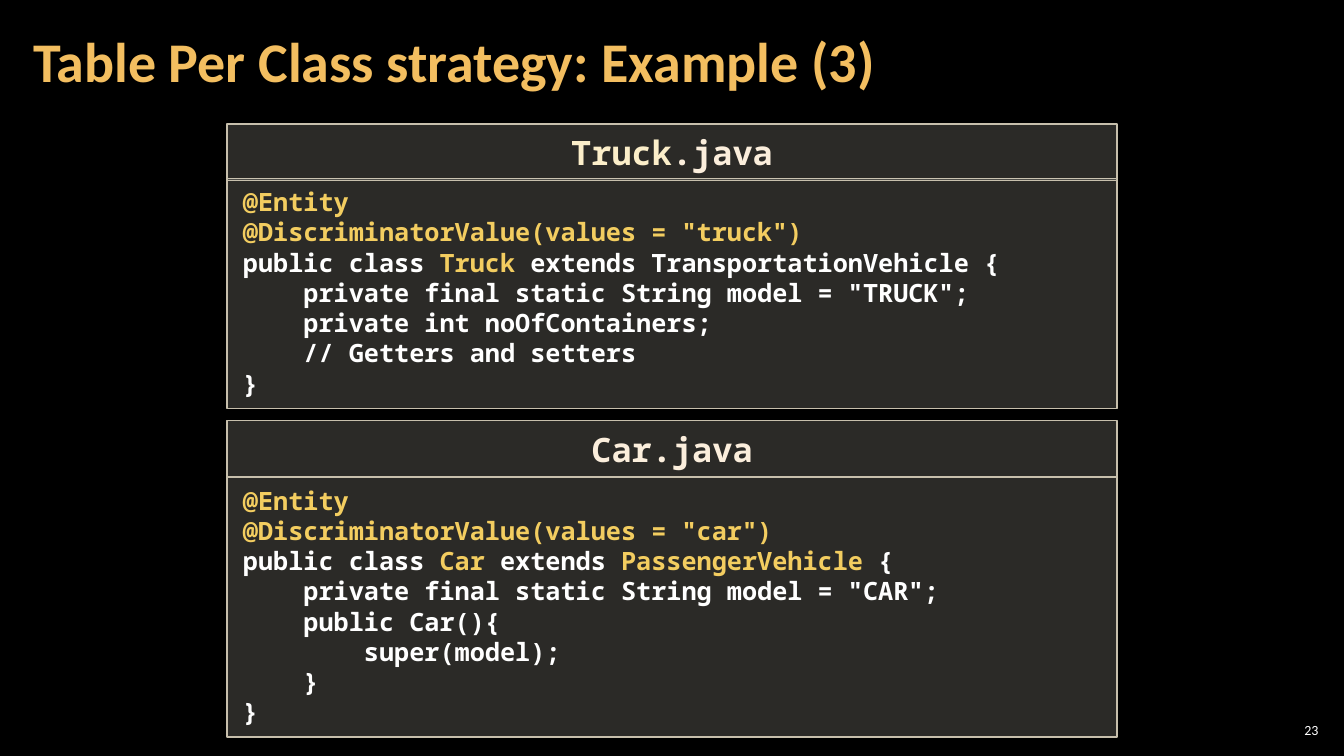
from lxml import etree
from pptx import Presentation
from pptx.dml.color import RGBColor
from pptx.enum.shapes import MSO_SHAPE
from pptx.enum.text import MSO_ANCHOR, MSO_AUTO_SIZE, PP_ALIGN
from pptx.oxml.ns import qn
from pptx.util import Inches, Pt

RECTANGLE = MSO_SHAPE.RECTANGLE
MIDDLE, TOP = MSO_ANCHOR.MIDDLE, MSO_ANCHOR.TOP
LEFT, CENTER, RIGHT = PP_ALIGN.LEFT, PP_ALIGN.CENTER, PP_ALIGN.RIGHT
NO_FIT, GROW = MSO_AUTO_SIZE.NONE, MSO_AUTO_SIZE.SHAPE_TO_FIT_TEXT
TITLE_ONLY = 5

WIDTH, HEIGHT = Inches(13.33), Inches(7.5)
COLUMN, ROW = WIDTH / 40, HEIGHT / 25  # one row holds one line of code
CODE_LEFT, CODE_WIDTH = 6.75, 26.5
HEADER_ROWS = 1.87
CODE_PADDING = 0.6
INDENT = Inches(0.6)  # four characters of code

TEXT_FONT, CODE_FONT = "Calibri", "Noto Sans Mono"
COLORS = {
    "background": "000000",
    "title": "F3BE60",
    "panel": "D9D5C7",
    "border": "C7BFAC",
    "plain": "FFFFFF",
    "accent": "F3CD60",
    "class name": "FBEEC9",
    "file name": "FBEEDC",
}

# Each line of code: indent level, then runs of (text, colour)
TRUCK_HEADER = [("Truck", "class name"), (".java", "file name")]
TRUCK_CODE = [
    (0, [("@Entity", "accent")]),
    (0, [('@DiscriminatorValue(values = "truck")', "accent")]),
    (0, [("public class ", "plain"), ("Truck", "accent"),
         (" extends TransportationVehicle {", "plain")]),
    (1, [('private final static String model = "TRUCK";', "plain")]),
    (1, [("private int noOfContainers;", "plain")]),
    (1, [("// Getters and setters", "plain")]),
    (0, [("}", "plain")]),
]
CAR_HEADER = [("Car.java", "file name")]
CAR_CODE = [
    (0, [("@Entity", "accent")]),
    (0, [('@DiscriminatorValue(values = "car")', "accent")]),
    (0, [("public class ", "plain"), ("Car", "accent"), (" extends ", "plain"),
         ("PassengerVehicle", "accent"), (" {", "plain")]),
    (1, [('private final static String model = "CAR";', "plain")]),
    (1, [("public Car(){", "plain")]),
    (2, [("super(model);", "plain")]),
    (1, [("}", "plain")]),
    (0, [("}", "plain")]),
]


def color(name):
    return RGBColor.from_string(COLORS[name])


def grid_box(left, top, width, height):
    return (round(left * COLUMN), round(top * ROW),
            round(width * COLUMN), round(height * ROW))


def format_run(run, font_name, size, color_name, bold):
    run.font.name = font_name
    run.font.size = Pt(size)
    run.font.bold = bold
    run.font.color.rgb = color(color_name)


def format_frame(text_frame, anchor, side, edge, auto_size):
    text_frame.word_wrap = True
    text_frame.auto_size = auto_size
    text_frame.vertical_anchor = anchor
    text_frame.margin_left = text_frame.margin_right = Inches(side)
    text_frame.margin_top = text_frame.margin_bottom = Inches(edge)


def set_single_text(shape, text, size, color_name, bold, alignment, side):
    text_frame = shape.text_frame
    text_frame.text = text
    format_frame(text_frame, MIDDLE, side, 0.04, NO_FIT)
    paragraph = text_frame.paragraphs[0]
    paragraph.alignment = alignment
    format_run(paragraph.runs[0], TEXT_FONT, size, color_name, bold)
    return paragraph


def add_title(slide, text):
    title = slide.shapes.title
    title.left, title.top, title.width, title.height = grid_box(0.63, 0.13, 31.4, 4.03)
    paragraph = set_single_text(title, text, 40, "title", True, LEFT, 0.12)
    paragraph.line_spacing = 0.9


def add_slide_number(slide, number):
    box = slide.shapes.add_textbox(*grid_box(37.95, 23.8, 1.41, 0.7))
    set_single_text(box, str(number), 10, "plain", False, RIGHT, 0.04)


def add_panel(slide, top, height, lines, size, alignment):
    """Add a translucent rectangle holding lines of coloured code."""
    panel = slide.shapes.add_shape(
        RECTANGLE, *grid_box(CODE_LEFT, top, CODE_WIDTH, height))
    panel.shadow.inherit = False
    panel.fill.solid()
    panel.fill.fore_color.rgb = color("panel")
    fill_color = panel.fill._xPr.find(qn("a:solidFill"))[0]
    etree.SubElement(fill_color, qn("a:alpha"), val="20000")
    panel.line.color.rgb = color("border")
    panel.line.width = Pt(1)

    text_frame = panel.text_frame
    format_frame(text_frame, TOP, 0.16, 0.08, GROW)
    for index, (level, runs) in enumerate(lines):
        paragraph = text_frame.add_paragraph() if index else text_frame.paragraphs[0]
        paragraph.alignment = alignment
        paragraph.line_spacing = Pt(1.2 * size)
        paragraph._p.get_or_add_pPr().set("marL", str(level * INDENT))
        for text, color_name in runs:
            run = paragraph.add_run()
            run.text = text
            format_run(run, CODE_FONT, size, color_name, True)


def add_code_file(slide, header_top, code_top, header, code):
    add_panel(slide, code_top, len(code) + CODE_PADDING, code, 18, LEFT)
    add_panel(slide, header_top, HEADER_ROWS, [(0, header)], 24, CENTER)


def main():
    presentation = Presentation()
    presentation.slide_width, presentation.slide_height = WIDTH, HEIGHT
    slide = presentation.slides.add_slide(presentation.slide_layouts[TITLE_ONLY])
    slide.background.fill.solid()
    slide.background.fill.fore_color.rgb = color("background")

    add_title(slide, "Table Per Class strategy: Example (3)")
    add_code_file(slide, 4.1, 5.9, TRUCK_HEADER, TRUCK_CODE)
    add_code_file(slide, 13.9, 15.77, CAR_HEADER, CAR_CODE)
    add_slide_number(slide, 23)
    presentation.save("out.pptx")


if __name__ == "__main__":
    main()
